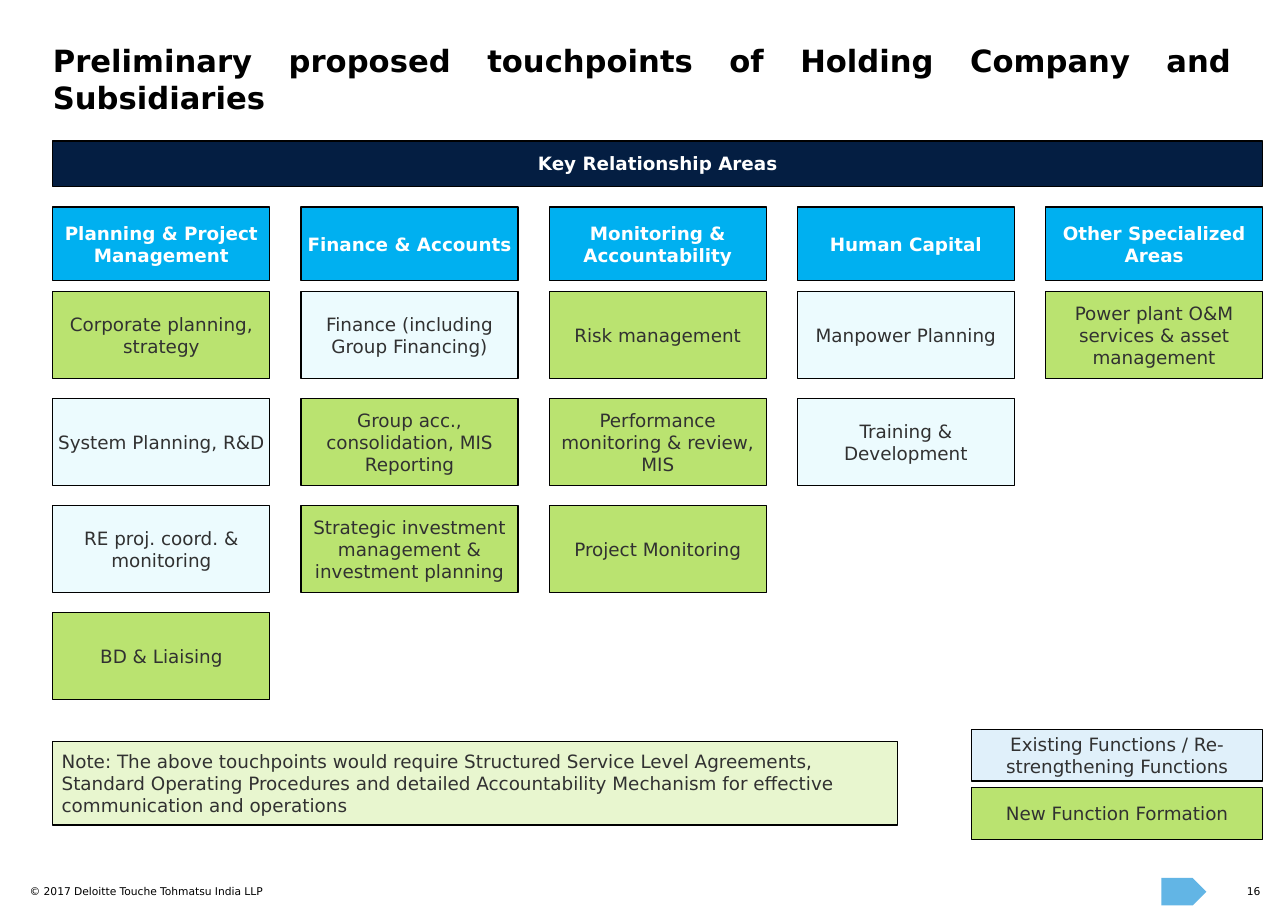
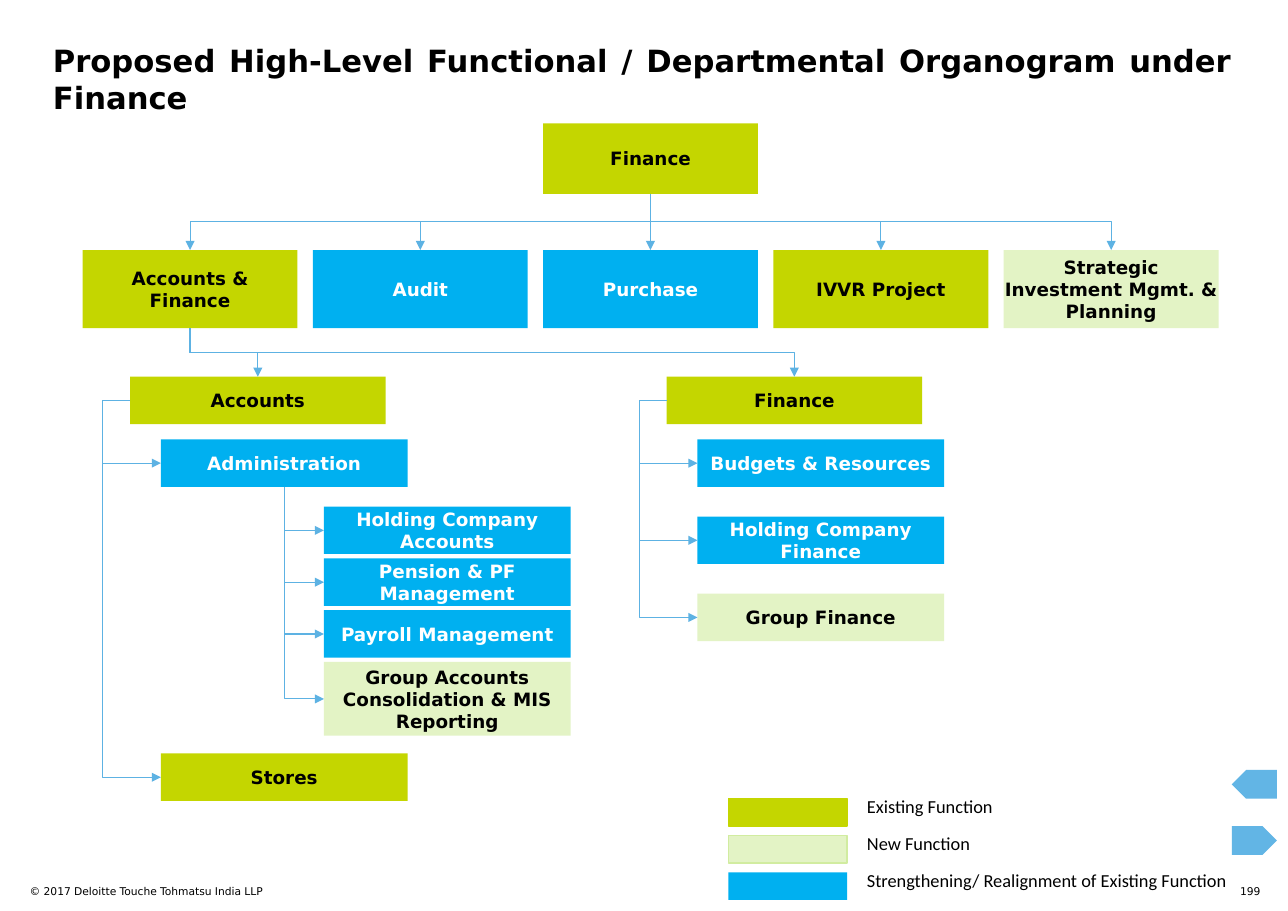
import collections

import lxml.etree
import pptx
import pptx.dml.color
import pptx.enum.shapes
import pptx.enum.text
import pptx.oxml.ns
import pptx.util

PX = 9144  # EMU per px: 100 px to the inch

RGB = pptx.dml.color.RGBColor
SHAPES = pptx.enum.shapes.MSO_SHAPE
ALIGN = pptx.enum.text.PP_ALIGN
ANCHOR = pptx.enum.text.MSO_ANCHOR
qn = pptx.oxml.ns.qn

BLACK = RGB(0x00, 0x00, 0x00)
WHITE = RGB(0xFF, 0xFF, 0xFF)
CHARCOAL = RGB(0x31, 0x31, 0x31)
NAVY = RGB(0x04, 0x1E, 0x42)
BLUE = RGB(0x00, 0xB0, 0xF0)
ICE = RGB(0xEC, 0xFB, 0xFE)
PALE_BLUE = RGB(0xE0, 0xF0, 0xFA)
GREEN = RGB(0xBA, 0xE3, 0x70)
PALE_GREEN = RGB(0xE8, 0xF6, 0xCF)
LIME = RGB(0xC4, 0xD6, 0x00)
MINT = RGB(0xE3, 0xF3, 0xC5)
MINT_EDGE = RGB(0xD1, 0xEC, 0xA0)
LINK_BLUE = RGB(0x5D, 0xB2, 0xE3)
ARROW_BLUE = RGB(0x62, 0xB5, 0xE5)

FONT = "DejaVu Sans"
Box = collections.namedtuple("Box", "left top width height")
# Organogram categories: fill, text colour, inset
Category = collections.namedtuple("Category", "fill ink inset")
EXISTING = Category(LIME, BLACK, 10)
STRENGTHENED = Category(BLUE, WHITE, 10)
NEW = Category(MINT, BLACK, 0)


def emu(box):
    return [round(length * PX) for length in box]


# Shared building parts

def write(frame, text, size, color, bold=False, align=ALIGN.LEFT,
          anchor=ANCHOR.TOP, insets=(0, 0), font=FONT):
    frame.word_wrap = True
    frame.auto_size = pptx.enum.text.MSO_AUTO_SIZE.NONE
    frame.vertical_anchor = anchor
    frame.margin_left = frame.margin_right = insets[0] * PX
    frame.margin_top = frame.margin_bottom = insets[1] * PX
    paragraph = frame.paragraphs[0]
    paragraph.alignment = align
    run = paragraph.add_run()
    run.text = text
    run.font.name = font
    run.font.size = pptx.util.Pt(size)
    run.font.bold = bold
    run.font.color.rgb = color


def add_label(slide, box, text, size, **style):
    label = slide.shapes.add_textbox(*emu(box))
    write(label.text_frame, text, size, BLACK, **style)


def add_block(slide, box, fill, edge=None, edge_width=0.75, preset=SHAPES.RECTANGLE):
    block = slide.shapes.add_shape(preset, *emu(box))
    block.shadow.inherit = False
    block.fill.solid()
    block.fill.fore_color.rgb = fill
    if edge is None:
        block.line.fill.background()
    else:
        block.line.color.rgb = edge
        block.line.width = pptx.util.Pt(edge_width)
    return block


def add_text_block(slide, box, text, fill, ink, bold=False, edge=None, inset=0):
    block = add_block(slide, box, fill, edge)
    write(block.text_frame, text, 12, ink, bold, ALIGN.CENTER, ANCHOR.MIDDLE,
          (inset, inset))
    return block


def add_nav_arrow(slide, box, back=False):
    arrow = add_block(slide, box, ARROW_BLUE, preset=SHAPES.PENTAGON)
    if back:
        arrow._element.spPr.find(qn("a:xfrm")).set("flipH", "1")


def start_slide(deck, heading, number):
    slide = deck.slides.add_slide(deck.slide_layouts[5])
    title = slide.shapes.title
    title.left, title.top, title.width, title.height = emu(Box(48, 38, 1070, 71))
    write(title.text_frame, heading, 20, BLACK, True, ALIGN.JUSTIFY)
    add_label(slide, Box(27, 803, 513, 24), "© 2017 Deloitte Touche Tohmatsu India LLP", 7)
    add_label(slide, Box(1114, 803, 30, 12), number, 7, align=ALIGN.RIGHT)
    return slide


# Organogram links

TOP, LEFT, BOTTOM = 0, 1, 2  # connection sites of a rectangle


def site_point(shape, site):
    if site == LEFT:
        return shape.left, shape.top + shape.height // 2
    return shape.left + shape.width // 2, shape.top + (shape.height if site == BOTTOM else 0)


def add_link(slide, parent, child, leave, enter):
    """Glued elbow arrow: bottom to top, bottom to left, or left to left."""
    x1, y1 = site_point(parent, leave)
    x2, y2 = site_point(child, enter)
    link = slide.shapes.add_connector(
        pptx.enum.shapes.MSO_CONNECTOR.ELBOW, x1, y1, x2, y2)
    link.begin_connect(parent, leave)
    link.end_connect(child, enter)
    if leave == LEFT:
        width, height, turn, flips = x2 - x1, y2 - y1, 180, ("1", "1")
    elif x2 < x1:
        width, height, turn, flips = y2 - y1, x1 - x2, 90, ("0", "0")
    else:
        width, height, turn, flips = y2 - y1, x2 - x1, 270, ("1", "0")
    link.left, link.top = (x1 + x2 - width) // 2, (y1 + y2 - height) // 2
    link.width, link.height = width, height
    properties = link._element.spPr
    xfrm = properties.find(qn("a:xfrm"))
    xfrm.set("rot", str(turn * 60000))
    xfrm.set("flipH", flips[0])
    xfrm.set("flipV", flips[1])

    # Route: a single corner, or a bend 25 px outside the left edge
    geometry = properties.find(qn("a:prstGeom"))
    if (leave, enter) == (BOTTOM, LEFT):
        geometry.set("prst", "bentConnector2")
    elif leave == LEFT:
        bend = round(-25 * PX / width * 100000)
        lxml.etree.SubElement(geometry.find(qn("a:avLst")), qn("a:gd"),
                              name="adj1", fmla=f"val {bend}")

    link.line.color.rgb = LINK_BLUE
    link.line.width = pptx.util.Pt(0.75)
    lxml.etree.SubElement(properties.find(qn("a:ln")), qn("a:tailEnd"), type="triangle")
    lxml.etree.SubElement(properties, qn("a:effectLst"))


def add_node(slide, box, text, category):
    return add_text_block(slide, box, text, category.fill, category.ink, True,
                          inset=category.inset)


# Touchpoints slide

AREAS = [
    ("Planning & Project Management", [
        ("Corporate planning, strategy", GREEN), ("System Planning, R&D", ICE),
        ("RE proj. coord. & monitoring", ICE), ("BD & Liaising", GREEN)]),
    ("Finance & Accounts", [
        ("Finance (including Group Financing)", ICE),
        ("Group acc., consolidation, MIS Reporting", GREEN),
        ("Strategic investment management & investment planning", GREEN)]),
    ("Monitoring & Accountability", [
        ("Risk management", GREEN), ("Performance monitoring & review, MIS", GREEN),
        ("Project Monitoring", GREEN)]),
    ("Human Capital", [("Manpower Planning", ICE), ("Training & Development", ICE)]),
    ("Other Specialized Areas", [("Power plant O&M services & asset management", GREEN)]),
]


def add_area_grid(slide, box):
    width = 197
    pitch = (box.width - width) / (len(AREAS) - 1)
    add_text_block(slide, Box(box.left, box.top, box.width, 41),
                   "Key Relationship Areas", NAVY, WHITE, True, BLACK)
    for column, (area, functions) in enumerate(AREAS):
        left = box.left + column * pitch
        add_text_block(slide, Box(left, box.top + 60, width, 67), area, BLUE, WHITE, True, BLACK)
        for row, (function, fill) in enumerate(functions):
            add_text_block(slide, Box(left, box.top + 137 + row * 97, width, 79),
                           function, fill, CHARCOAL, edge=BLACK)


def add_note(slide, box):
    note = add_block(slide, box, PALE_GREEN, BLACK)
    write(note.text_frame,
          "Note: The above touchpoints would require Structured Service Level Agreements, "
          "Standard Operating Procedures and detailed Accountability Mechanism for effective "
          "communication and operations", 12, CHARCOAL, insets=(8, 8))


def add_function_key(slide, box):
    entries = [("Existing Functions / Re-strengthening Functions", PALE_BLUE),
               ("New Function Formation", GREEN)]
    for row, (meaning, fill) in enumerate(entries):
        add_text_block(slide, Box(box.left, box.top + row * 53, box.width, 47),
                       meaning, fill, CHARCOAL, edge=BLACK)


def build_touchpoints(deck):
    slide = start_slide(
        deck, "Preliminary proposed touchpoints of Holding Company and Subsidiaries", "16")
    add_area_grid(slide, Box(48, 128, 1098, 507))
    add_note(slide, Box(48, 673, 767, 76))
    add_function_key(slide, Box(882, 662, 264, 100))
    add_nav_arrow(slide, Box(1054, 797, 41, 25))


# Organogram slide

def add_departments(slide, box):
    departments = [("Accounts & Finance", EXISTING), ("Audit", STRENGTHENED),
                   ("Purchase", STRENGTHENED), ("IVVR Project", EXISTING),
                   ("Strategic Investment Mgmt. & Planning", NEW)]
    width = 195
    pitch = (box.width - width) / (len(departments) - 1)
    head = add_node(slide, Box(box.left + 2 * pitch, box.top, width, 64), "Finance", EXISTING)
    nodes = []
    for column, (department, category) in enumerate(departments):
        node = add_node(slide, Box(box.left + column * pitch, box.top + 115, width, 71),
                        department, category)
        add_link(slide, head, node, BOTTOM, TOP)
        nodes.append(node)
    return nodes


def add_branch(slide, box, parent, name, units):
    """Section under its parent, with units listed by their offset from its top."""
    section = add_node(slide, Box(box.left, box.top, 232, 43), name, EXISTING)
    add_link(slide, parent, section, BOTTOM, TOP)
    nodes = []
    for offset, unit, category in units:
        node = add_node(slide, Box(box.left + 28, box.top + offset, 224, 43), unit, category)
        add_link(slide, section, node, LEFT, LEFT)
        nodes.append(node)
    return nodes


def add_administration_units(slide, box, parent):
    units = [("Holding Company Accounts", STRENGTHENED, 43),
             ("Pension & PF Management", STRENGTHENED, 43),
             ("Payroll Management", STRENGTHENED, 43),
             ("Group Accounts Consolidation & MIS Reporting", NEW, 67)]
    for row, (unit, category, height) in enumerate(units):
        node = add_node(slide, Box(box.left, box.top + row * 47, box.width, height),
                        unit, category)
        add_link(slide, parent, node, BOTTOM, LEFT)


def add_category_key(slide, box):
    entries = [("Existing Function", LIME, LIME), ("New Function", MINT, MINT_EDGE),
               ("Strengthening/ Realignment of Existing Function", BLUE, None)]
    for row, (meaning, fill, edge) in enumerate(entries):
        top = box.top + row * 33.5
        add_block(slide, Box(box.left, top + 8, 108, 25), fill, edge, 1)
        add_label(slide, Box(box.left + 116, top, box.width - 116, 30), meaning, 12,
                  insets=(10, 5), font="Calibri")


def build_organogram(deck):
    slide = start_slide(
        deck, "Proposed High-Level Functional / Departmental Organogram under Finance", "199")
    accounts_finance = add_departments(slide, Box(75, 112, 1031, 186))[0]
    administration, _ = add_branch(
        slide, Box(118, 342, 252, 385), accounts_finance, "Accounts",
        [(57, "Administration", STRENGTHENED), (342, "Stores", EXISTING)])
    add_administration_units(slide, Box(294, 460, 224, 208), administration)
    add_branch(slide, Box(605, 342, 252, 240), accounts_finance, "Finance",
               [(57, "Budgets & Resources", STRENGTHENED),
                (127, "Holding Company Finance", STRENGTHENED),
                (197, "Group Finance", NEW)])
    add_category_key(slide, Box(661, 717, 471, 100))
    add_nav_arrow(slide, Box(1118, 750, 41, 26))
    add_nav_arrow(slide, Box(1118, 699, 41, 26), back=True)


def main():
    deck = pptx.Presentation()
    deck.slide_width, deck.slide_height = 1169 * PX, 827 * PX
    build_touchpoints(deck)
    build_organogram(deck)
    deck.save("out.pptx")


if __name__ == "__main__":
    main()
